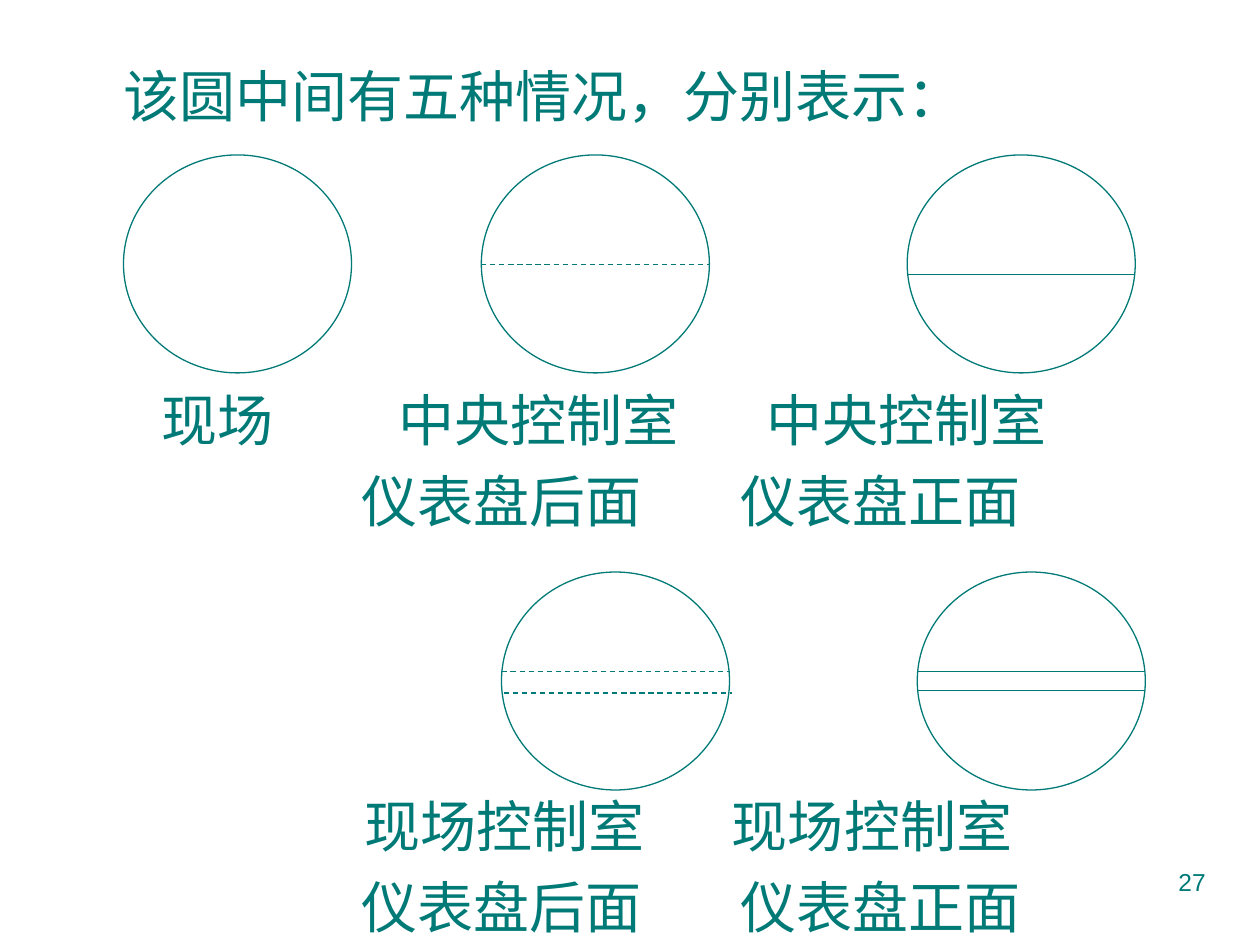
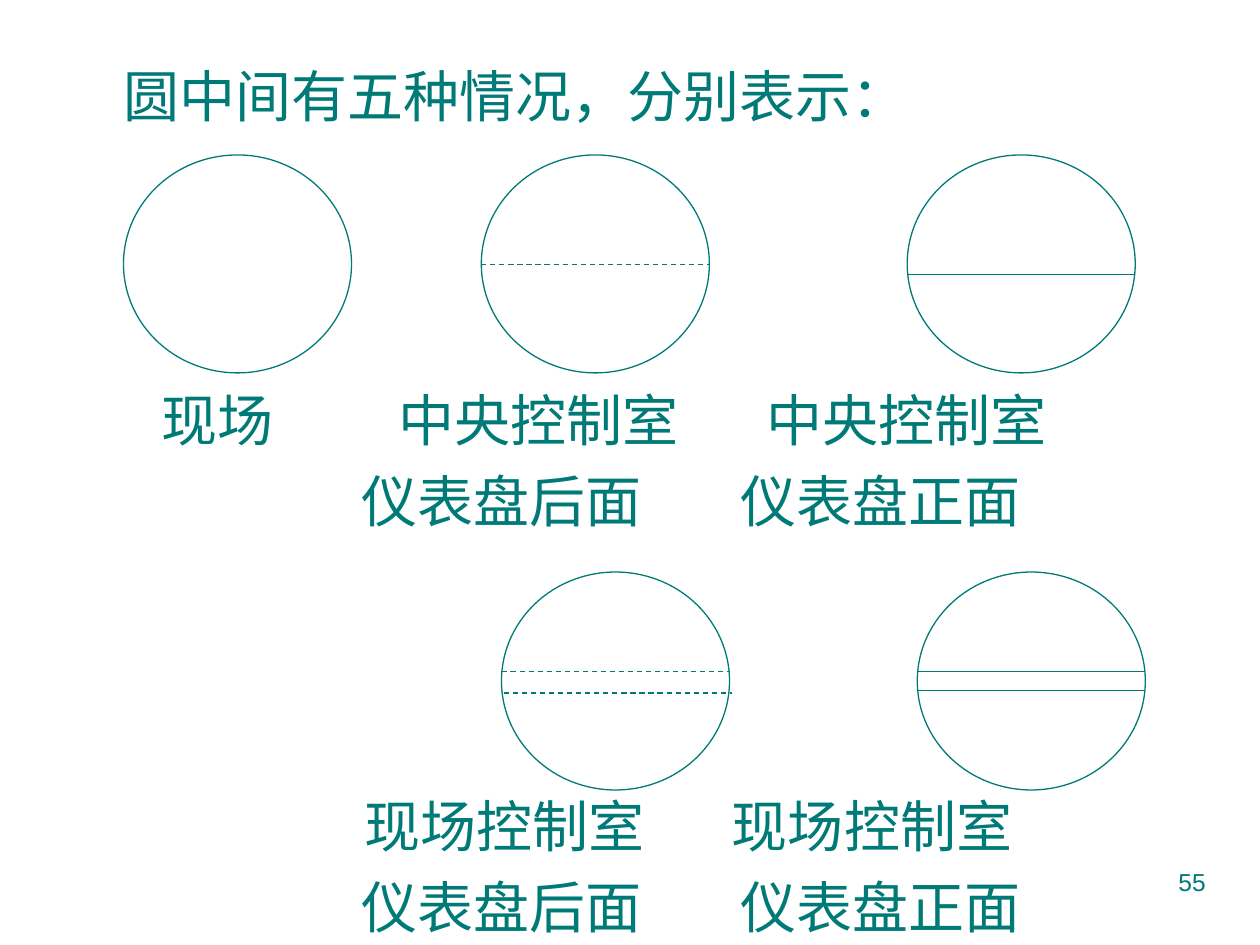
from lxml import etree
from pptx import Presentation
from pptx.dml.color import RGBColor
from pptx.enum.dml import MSO_LINE
from pptx.enum.shapes import MSO_CONNECTOR, MSO_SHAPE
from pptx.enum.text import PP_ALIGN
from pptx.oxml.ns import qn
from pptx.util import Inches, Pt

ELLIPSE, STRAIGHT = MSO_SHAPE.OVAL, MSO_CONNECTOR.STRAIGHT
DASH, SOLID = MSO_LINE.DASH, MSO_LINE.SOLID
LEFT, RIGHT = PP_ALIGN.LEFT, PP_ALIGN.RIGHT
COLORS = {"teal": "007A77", "white": "FFFFFF"}
FONT = "Arial"
CIRCLE_W, CIRCLE_H = 1.81, 1.73
ROW_1, ROW_2 = 1.23, 4.54
LABEL_1, LABEL_2 = 3.06, 6.28

# (left, top, dash style, [(chord height, chord shift)])
CIRCLES = [
    (0.98, ROW_1, SOLID, []),
    (3.82, ROW_1, DASH, [(2.1, 0)]),
    (7.2, ROW_1, SOLID, [(2.18, 0)]),
    (3.98, ROW_2, DASH, [(5.33, 0), (5.5, 0.02)]),
    (7.28, ROW_2, SOLID, [(5.33, 0), (5.48, 0)]),
]
# (top, [(line left, line text)])
LABELS = [
    (LABEL_1, [(1.28, "现场")]),
    (LABEL_1, [(3.16, "中央控制室"), (2.87, "仪表盘后面")]),
    (LABEL_1, [(6.08, "中央控制室"), (5.88, "仪表盘正面")]),
    (LABEL_2, [(2.89, "现场控制室"), (2.87, "仪表盘后面")]),
    (LABEL_2, [(5.81, "现场控制室"), (5.88, "仪表盘正面")]),
]
SLIDES = [
    ("该圆中间有五种情况，分别表示：", "27"),
    ("圆中间有五种情况，分别表示：", "55"),
]


def color(name):
    """Return a palette colour."""
    return RGBColor.from_string(COLORS[name])


def add_text(slide, top, lines, width, size=32, align=LEFT):
    """Add a text box whose lines each start at their own left position."""
    left = min(x for x, _ in lines)
    height = 0.65 * len(lines) if size == 32 else 0.3
    sp = slide.shapes.add_textbox(Inches(left), Inches(top), Inches(width), Inches(height))
    tf = sp.text_frame
    tf.word_wrap = True
    tf.margin_left = tf.margin_right = tf.margin_top = tf.margin_bottom = 0
    for i, (x, text) in enumerate(lines):
        p = tf.add_paragraph() if i else tf.paragraphs[0]
        p.text = text
        p.alignment = align
        p._p.get_or_add_pPr().set("marL", str(Inches(x - left)))
        if i:
            p.space_before = Pt(8)
        font = p.runs[0].font
        font.name, font.size = FONT, Pt(size)
        font.color.rgb = color("teal")


def style_line(line, dash=SOLID):
    """Give a line the shared colour and width."""
    line.color.rgb = color("teal")
    line.width = Pt(0.75)
    line.dash_style = dash


def add_chord(slide, x, y, dash):
    """Add a horizontal line across a circle."""
    cxn = slide.shapes.add_connector(
        STRAIGHT, Inches(x), Inches(y), Inches(x + CIRCLE_W), Inches(y))
    style_line(cxn.line, dash)
    etree.SubElement(cxn._element.spPr, qn("a:effectLst"))


def add_instrument(slide, x, y, dash, chords):
    """Add an instrument circle with its chords."""
    sp = slide.shapes.add_shape(
        ELLIPSE, Inches(x), Inches(y), Inches(CIRCLE_W), Inches(CIRCLE_H))
    sp.shadow.inherit = False
    sp.fill.background()
    style_line(sp.line)
    for chord_y, shift in chords:
        add_chord(slide, x + shift, chord_y, dash)


def add_symbol_slide(prs, title, number):
    """Add one slide of instrument symbols."""
    slide = prs.slides.add_slide(prs.slide_layouts[6])
    slide.background.fill.solid()
    slide.background.fill.fore_color.rgb = color("white")
    add_text(slide, 0.49, [(0.98, title)], 8.4)
    for top, lines in LABELS:
        add_text(slide, top, lines, 2.7)
    for circle in CIRCLES:
        add_instrument(slide, *circle)
    add_text(slide, 6.88, [(7.27, number)], 2.3, 14, RIGHT)


def main():
    """Build and save the presentation."""
    prs = Presentation()
    prs.slide_width, prs.slide_height = Inches(10), Inches(7.5)
    for title, number in SLIDES:
        add_symbol_slide(prs, title, number)
    prs.save("out.pptx")


if __name__ == "__main__":
    main()
